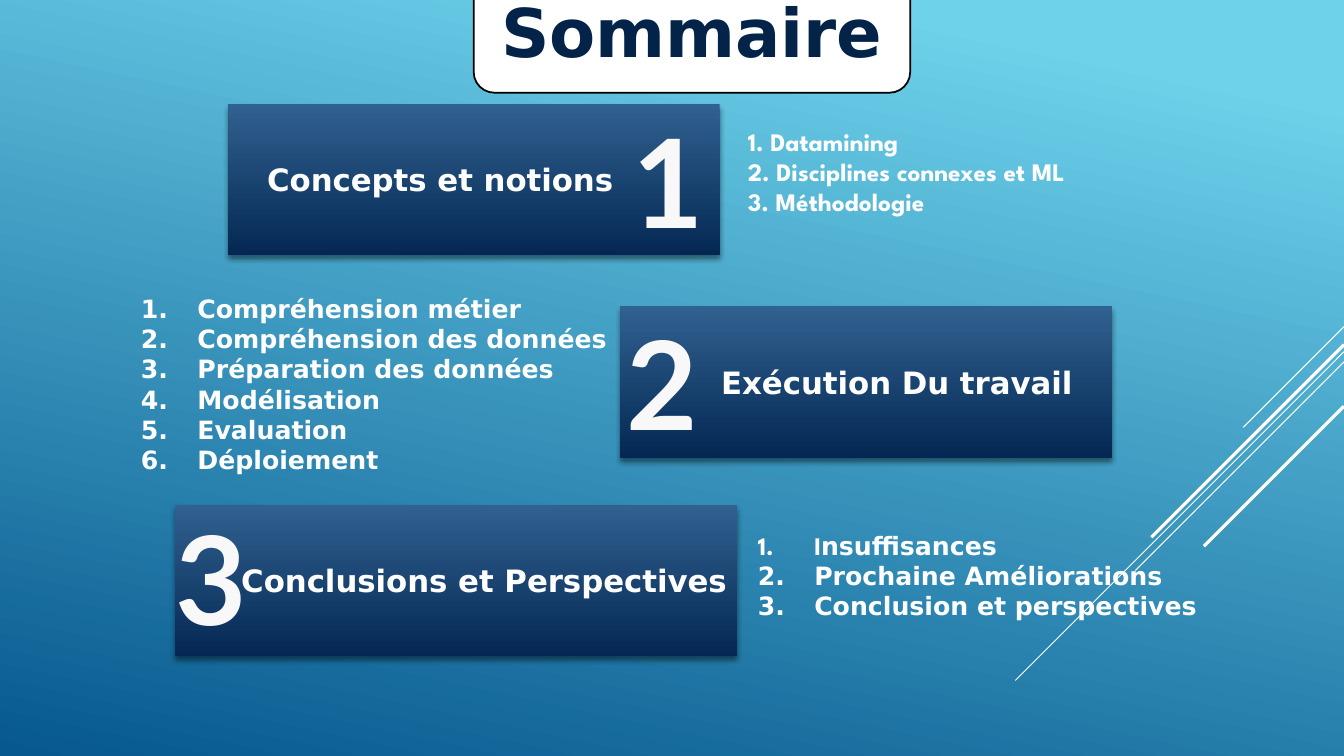
"""Build the summary slide: a title tab, three numbered panels and their lists."""
from dataclasses import dataclass

from lxml import etree
from pptx import Presentation
from pptx.dml.color import RGBColor
from pptx.enum.shapes import MSO_CONNECTOR, MSO_SHAPE
from pptx.enum.text import MSO_ANCHOR, PP_ALIGN
from pptx.oxml.ns import qn
from pptx.util import Inches, Pt

LEFT, CENTER, RIGHT = PP_ALIGN.LEFT, PP_ALIGN.CENTER, PP_ALIGN.RIGHT
TOP, MIDDLE = MSO_ANCHOR.TOP, MSO_ANCHOR.MIDDLE
RECTANGLE, ROUNDED = MSO_SHAPE.RECTANGLE, MSO_SHAPE.ROUNDED_RECTANGLE
STRAIGHT = MSO_CONNECTOR.STRAIGHT
COLUMNS, ROWS = 133.33, 75
LIST_INDENT = 5.6
PANEL_HEIGHT = 15


@dataclass(frozen=True)
class Theme:
    sky: str = "6ED2EB"
    sea: str = "06588E"
    panel_top: str = "316190"
    panel_bottom: str = "042853"
    white: str = "FFFFFF"
    black: str = "000000"
    title: str = "042349"
    number: str = "F8F8F8"
    body_font: str = "DejaVu Sans"
    number_font: str = "Lato"
    accent_font: str = "League Spartan"
    title_size: float = 48
    panel_size: float = 22
    number_size: float = 88
    list_size: float = 18
    list_spacing: float = 21.6


THEME = Theme()


@dataclass(frozen=True)
class Area:
    column: float
    row: float
    width: float
    height: float


@dataclass(frozen=True)
class Run:
    text: str
    font: str = THEME.body_font


@dataclass(frozen=True)
class Diagonal:
    row: float
    run: float
    weight: float


@dataclass(frozen=True)
class Section:
    number: str
    title: str
    panel: Area
    align: PP_ALIGN
    insets: tuple
    number_area: Area
    items: tuple
    list_area: Area
    numbered: bool = True


DIAGONALS = (
    Diagonal(32.4, 10, 0.75),
    Diagonal(34.9, 32.6, 0.75),
    Diagonal(35.9, 20.7, 0.75),
    Diagonal(34.2, 19.1, 2.25),
    Diagonal(40.3, 13.9, 2.25),
)

SECTIONS = (
    Section(
        "1", "Concepts et notions", Area(22.6, 10.3, 48.8, PANEL_HEIGHT), LEFT, (3.9, 1),
        Area(62.7, 10.4, 10.2, 14.8),
        tuple((Run(text, THEME.accent_font),) for text in
              ("1. Datamining", "2. Disciplines connexes et ML", "3. Méthodologie")),
        Area(73.2, 12, 37.5, 10), numbered=False),
    Section(
        "2", "Exécution Du travail", Area(61.5, 30.4, 48.8, PANEL_HEIGHT), RIGHT, (0, 3.9),
        Area(62.2, 30.5, 10.6, 14.8),
        tuple((Run(text),) for text in
              ("Compréhension métier", "Compréhension des données", "Préparation des données",
               "Modélisation", "Evaluation", "Déploiement")),
        Area(13, 28.6, 48.5, 19)),
    Section(
        "3", "Conclusions et Perspectives", Area(17.4, 50.1, 55.7, PANEL_HEIGHT), RIGHT, (3.9, 1),
        Area(17.4, 49.8, 13.9, 14.8),
        ((Run("I", THEME.accent_font), Run("nsuffisances")),
         (Run("Prochaine Améliorations"),),
         (Run("Conclusion et perspectives"),)),
        Area(74.2, 52.1, 45.7, 10)),
)


def grid(units: float) -> int:
    """Convert grid columns or rows, a tenth of an inch each, to a length."""
    return Inches(units / 10)


def place(area: Area) -> tuple:
    """Return the left, top, width and height of an area."""
    return tuple(grid(value) for value in (area.column, area.row, area.width, area.height))


def color(value: str) -> RGBColor:
    """Return the colour for a hexadecimal value."""
    return RGBColor.from_string(value)


def paint_gradient(fill, start: str, end: str, angle: float, first_stop: float = 0) -> None:
    """Fill with two colours along a clockwise angle."""
    fill.gradient()
    fill.gradient_angle = 360 - angle
    for stop, value, position in zip(fill.gradient_stops, (start, end), (first_stop, 1)):
        stop.color.rgb = color(value)
        stop.position = position


def add_shadow(shape) -> None:
    """Give a shape a soft shadow below it."""
    effects = shape._element.spPr.find(qn("a:effectLst"))
    shadow = etree.SubElement(effects, qn("a:outerShdw"), blurRad=str(Pt(4)), dist=str(Pt(3)),
                              dir="5400000", algn="ctr", rotWithShape="0")
    shade = etree.SubElement(shadow, qn("a:srgbClr"), val=THEME.black)
    etree.SubElement(shade, qn("a:alpha"), val="46000")


def write_text(shape, paragraphs: tuple, *, size: float, ink: str = THEME.white,
               align: PP_ALIGN = LEFT, anchor: MSO_ANCHOR = TOP, insets: tuple = (1, 1),
               margin: float = 0.5, wrap: bool = True, numbered: bool = False,
               line_spacing: float = 0, tracking: float = 0) -> None:
    """Write paragraphs of runs into a shape with one format."""
    frame = shape.text_frame
    frame.word_wrap, frame.vertical_anchor = wrap, anchor
    frame.margin_left, frame.margin_right = (grid(inset) for inset in insets)
    frame.margin_top = frame.margin_bottom = grid(margin)
    for index, runs in enumerate(paragraphs):
        paragraph = frame.add_paragraph() if index else frame.paragraphs[0]
        paragraph.alignment = align
        if line_spacing:
            paragraph.line_spacing = Pt(line_spacing)
        if numbered:
            properties = paragraph._p.get_or_add_pPr()
            properties.set("marL", str(grid(LIST_INDENT)))
            properties.set("indent", str(-grid(LIST_INDENT)))
            etree.SubElement(properties, qn("a:buAutoNum"), type="arabicPeriod")
        for part in runs:
            run = paragraph.add_run()
            run.text = part.text
            run.font.name, run.font.size, run.font.bold = part.font, Pt(size), True
            run.font.color.rgb = color(ink)
            if tracking:
                run.font._element.set("spc", str(round(tracking * 100)))


def add_diagonal(slide, diagonal: Diagonal) -> None:
    """Draw a line at 45 degrees from the right edge."""
    line = slide.shapes.add_connector(
        STRAIGHT, grid(COLUMNS), grid(diagonal.row),
        grid(COLUMNS - diagonal.run), grid(diagonal.row + diagonal.run))
    line.line.color.rgb = color(THEME.white)
    line.line.width = Pt(diagonal.weight)
    etree.SubElement(line._element.spPr, qn("a:effectLst"))


def add_title(slide) -> None:
    """Draw the title tab at the top edge."""
    shape = slide.shapes.add_shape(ROUNDED, *place(Area(47, -3.1, 43.3, 12.3)))
    shape.shadow.inherit = False
    shape.fill.solid()
    shape.fill.fore_color.rgb = color(THEME.white)
    shape.line.color.rgb = color(THEME.black)
    shape.line.width = Pt(1.25)
    write_text(shape, ((Run("Sommaire"),),), size=THEME.title_size, ink=THEME.title,
               align=CENTER, anchor=MIDDLE)


def add_section(slide, section: Section) -> None:
    """Draw a panel with its number and its list."""
    panel = slide.shapes.add_shape(RECTANGLE, *place(section.panel))
    paint_gradient(panel.fill, THEME.panel_top, THEME.panel_bottom, 90)
    panel.line.fill.background()
    panel.shadow.inherit = False
    add_shadow(panel)
    write_text(panel, ((Run(section.title),),), size=THEME.panel_size, align=section.align,
               anchor=MIDDLE, insets=section.insets)
    number = slide.shapes.add_textbox(*place(section.number_area))
    write_text(number, ((Run(section.number, THEME.number_font),),), size=THEME.number_size,
               ink=THEME.number, insets=(0, 0), margin=0, tracking=1.5)
    items = slide.shapes.add_textbox(*place(section.list_area))
    write_text(items, section.items, size=THEME.list_size, wrap=False,
               numbered=section.numbered, line_spacing=THEME.list_spacing)


def main() -> None:
    """Build and save the presentation."""
    presentation = Presentation()
    presentation.slide_width, presentation.slide_height = grid(COLUMNS), grid(ROWS)
    slide = presentation.slides.add_slide(presentation.slide_layouts[6])
    paint_gradient(slide.background.fill, THEME.sky, THEME.sea, 102, first_stop=0.1)
    for diagonal in DIAGONALS:
        add_diagonal(slide, diagonal)
    add_title(slide)
    for section in SECTIONS:
        add_section(slide, section)
    presentation.save("out.pptx")


if __name__ == "__main__":
    main()
